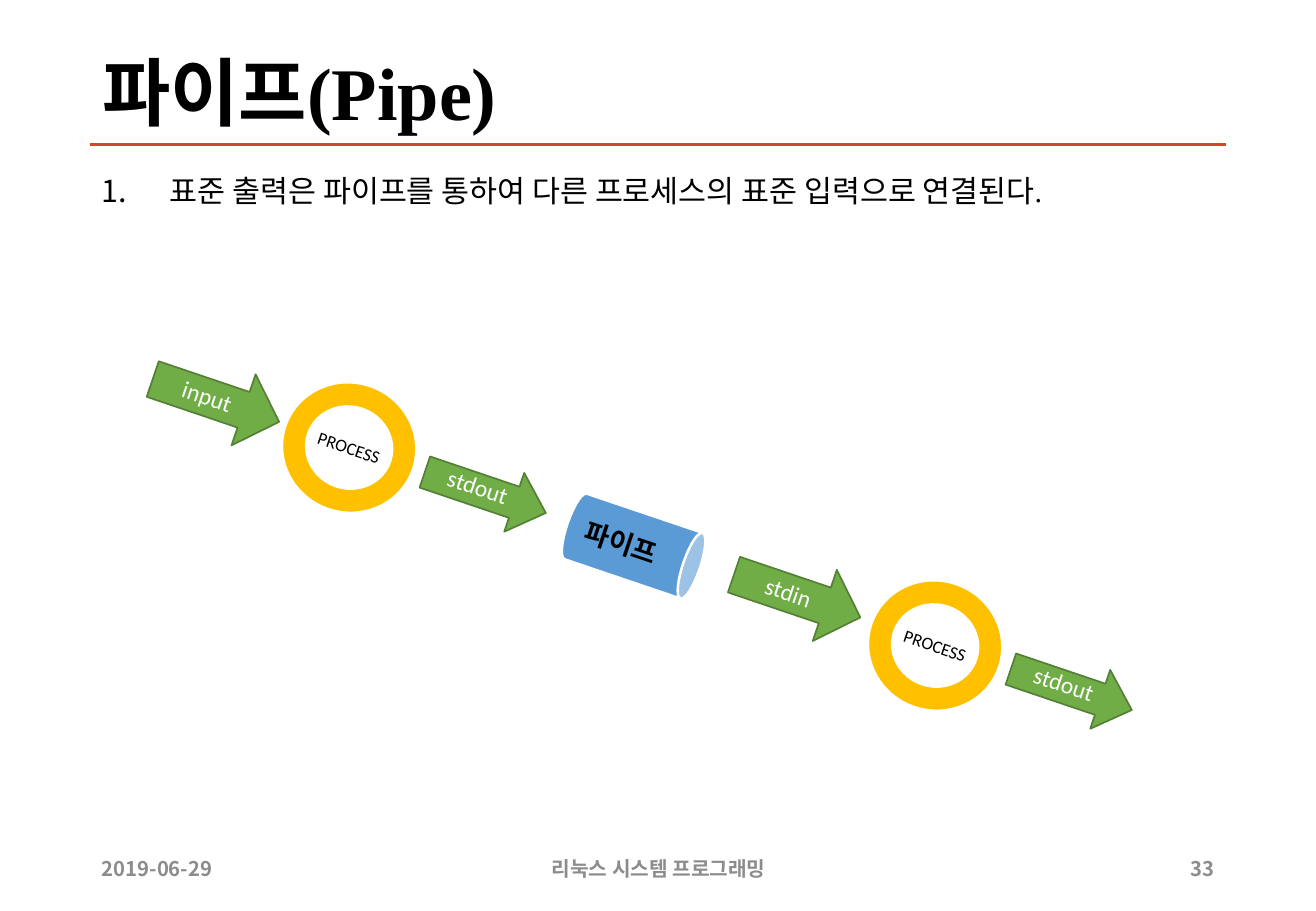
from dataclasses import dataclass
from lxml.etree import SubElement
from pptx import Presentation
from pptx.dml.color import RGBColor
from pptx.enum.shapes import MSO_CONNECTOR, MSO_SHAPE
from pptx.enum.text import MSO_ANCHOR as Anchor, MSO_AUTO_SIZE as AutoSize, PP_ALIGN as Align
from pptx.oxml.ns import qn
from pptx.util import Cm, Pt


@dataclass(frozen=True)
class Theme:
    black: str = "000000"
    white: str = "FFFFFF"
    rule: str = "D24726"
    footer: str = "8C8C8C"
    process: str = "FFC000"
    arrow: str = "70AD47"
    arrow_edge: str = "538035"
    pipe: str = "5B9BD5"
    serif: str = "Times New Roman"
    sans: str = "Calibri"
    korean: str = "Noto Sans CJK KR"
    title_size: float = 44
    body_size: float = 18
    pipe_size: float = 16
    arrow_size: float = 14
    footer_size: float = 12
    process_size: float = 10.5


theme = Theme()
TILT = 18.7


def write(shape, text, size, font, color, bold=False, align=Align.LEFT, anchor=Anchor.MIDDLE, wrap=True):
    frame = shape.text_frame
    frame.word_wrap = wrap
    frame.auto_size = AutoSize.NONE
    frame.vertical_anchor = anchor
    para = frame.paragraphs[0]
    para.alignment = align
    span = para.add_run()
    span.text = text
    span.font.size = Pt(size)
    span.font.bold = bold
    span.font.name = font
    span.font.color.rgb = RGBColor.from_string(color)
    SubElement(span.font._element, qn("a:ea"), typeface=theme.korean)
    return para


def add_part(kind, left, top, width, height, fill, edge, edge_width, rotation=TILT):
    part = page.shapes.add_shape(kind, Cm(left), Cm(top), Cm(width), Cm(height))
    part.rotation = rotation
    part.shadow.inherit = False
    part.fill.solid()
    part.fill.fore_color.rgb = RGBColor.from_string(fill)
    part.line.color.rgb = RGBColor.from_string(edge)
    part.line.width = Pt(edge_width)
    return part


deck = Presentation()
deck.slide_width, deck.slide_height = Cm(27.51), Cm(19.05)
page = deck.slides.add_slide(deck.slide_layouts[5])

rule = page.shapes.add_connector(MSO_CONNECTOR.STRAIGHT, Cm(1.88), Cm(3.02), Cm(25.63), Cm(3.02))
rule.line.color.rgb = RGBColor.from_string(theme.rule)
rule.line.width = Pt(2)
SubElement(rule._element.spPr, qn("a:effectLst"))

title = page.shapes.title
title.left, title.top, title.width, title.height = Cm(1.88), Cm(1.02), Cm(23.72), Cm(2.01)
para = write(title, "파이프(Pipe)", theme.title_size, theme.serif, theme.black, bold=True)
para.line_spacing = 0.9

body = page.shapes.add_textbox(Cm(1.88), Cm(3.48), Cm(24.59), Cm(3.38))
para = write(body, "표준 출력은 파이프를 통하여 다른 프로세스의 표준 입력으로 연결된다.",
             theme.body_size, theme.serif, theme.black, anchor=Anchor.TOP)
numbering = para._p.get_or_add_pPr()
numbering.set("marL", str(Cm(1.42)))
numbering.set("indent", str(-Cm(1.42)))
SubElement(numbering, qn("a:buFont"), typeface=theme.korean)
SubElement(numbering, qn("a:buAutoNum"), type="arabicPeriod")

footers = [
    ("2019-06-29", 1.88, 3.23, Align.LEFT),
    ("리눅스 시스템 프로그래밍", 9.12, 9.3, Align.CENTER),
    ("33", 24.28, 1.35, Align.RIGHT),
]
for text, left, width, align in footers:
    box = page.shapes.add_textbox(Cm(left), Cm(17.65), Cm(width), Cm(1.02))
    write(box, text, theme.footer_size, theme.korean, theme.footer, bold=True, align=align)

for left, top in [(5.89, 8), (18.14, 12.14)]:
    process = add_part(MSO_SHAPE.DONUT, left, top, 2.82, 2.72, theme.process, theme.white, 1.5)
    process.adjustments[0] = 0.186
    write(process, "PROCESS", theme.process_size, theme.sans, theme.black, align=Align.CENTER, wrap=False)

entry = (2.79, 1.57, 0.5, 0.5)
exit_ = (2.67, 1.3, 0.528, 0.536)
arrows = [
    ("input", 3.12, 7.59, entry),
    ("stdout", 8.81, 9.65, exit_),
    ("stdin", 15.27, 11.68, entry),
    ("stdout", 21.06, 13.77, exit_),
]
for text, left, top, (width, height, shaft, head) in arrows:
    arrow = add_part(MSO_SHAPE.RIGHT_ARROW, left, top, width, height, theme.arrow, theme.arrow_edge, 1)
    arrow.adjustments[0] = shaft
    arrow.adjustments[1] = head
    write(arrow, text, theme.arrow_size, theme.sans, theme.white,
          align=Align.CENTER, anchor=Anchor.BOTTOM, wrap=False)

add_part(MSO_SHAPE.CAN, 12.52, 9.96, 1.45, 2.92, theme.pipe, theme.white, 1.5, rotation=TILT + 90)
label = page.shapes.add_textbox(Cm(11.96), Cm(10.9), Cm(2.24), Cm(0.94))
label.rotation = TILT
write(label, "파이프", theme.pipe_size, theme.sans, theme.black, bold=True, anchor=Anchor.TOP, wrap=False)
label.text_frame.auto_size = AutoSize.SHAPE_TO_FIT_TEXT

deck.save("out.pptx")
